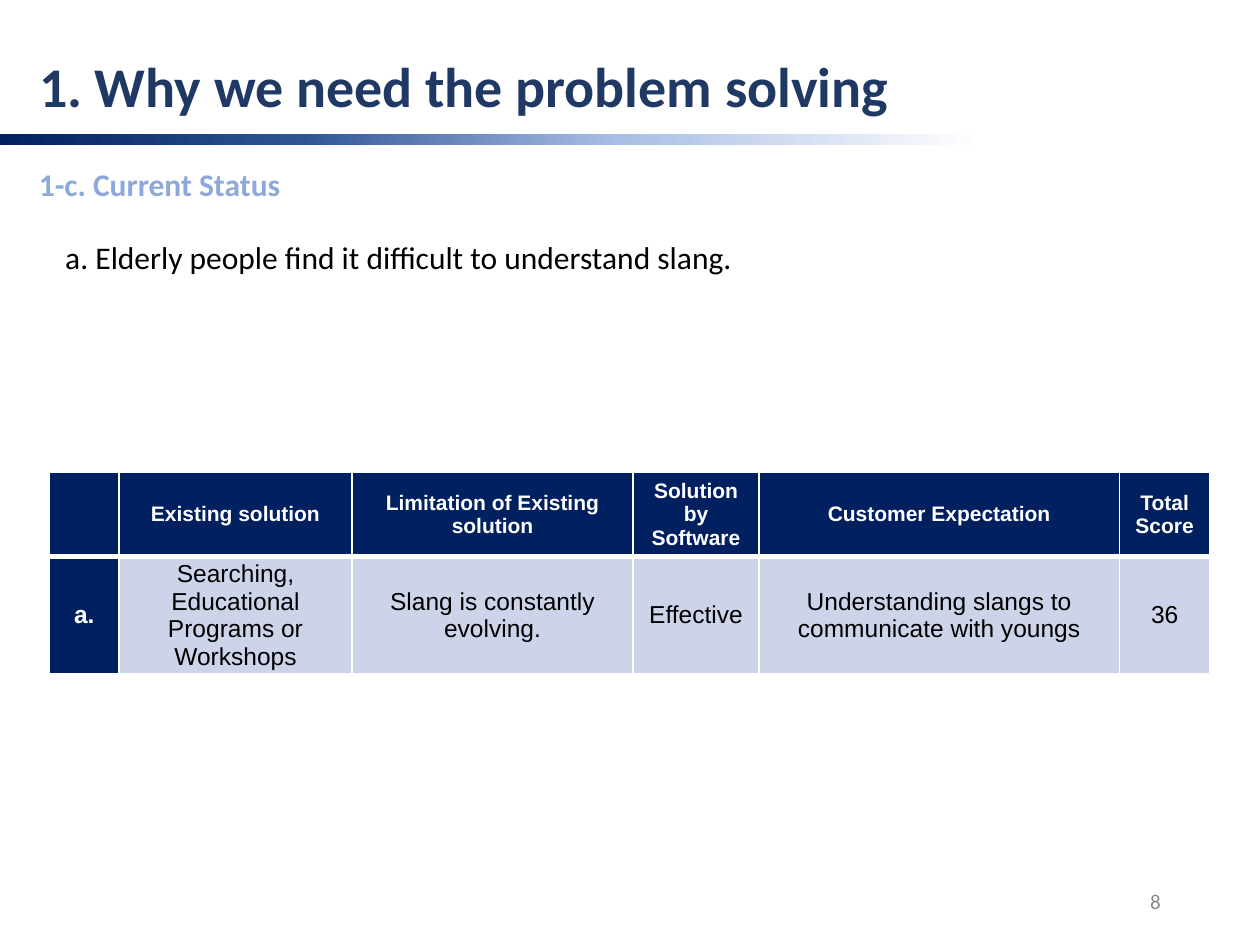
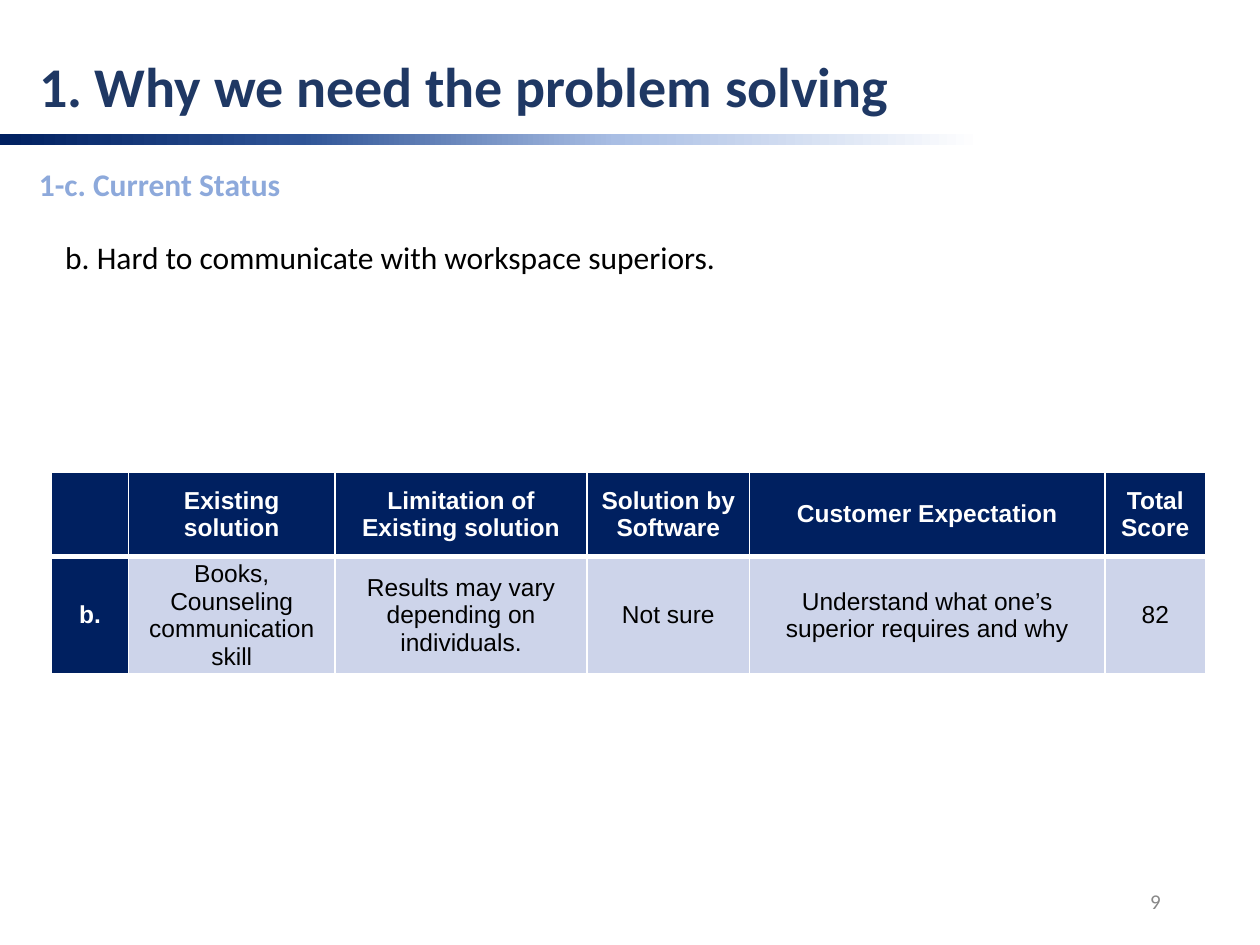
"""Builds the two current-status slides, each with a table of existing solutions."""
from lxml import etree
from pptx import Presentation
from pptx.dml import color
from pptx.enum import shapes, text
from pptx.oxml import ns
from pptx.util import Pt

NAVY, WHITE, PALE, BLACK = "002060", "FFFFFF", "CDD4EA", "000000"
BAND_STOPS = [(0, WHITE), (22, WHITE), (51, "A9BEE4"), (76, "2F5496"), (100, NAVY)]
HEADINGS = ["", "Existing solution", "Limitation of Existing solution",
            "Solution by Software", "Customer Expectation", "Total Score"]
ROW_HEIGHTS = [48, 67]
ALIGN, ANCHOR = text.PP_ALIGN, text.MSO_ANCHOR


def rgb(value):
    return color.RGBColor.from_string(value)


def add_xml(parent, tag, **attributes):
    return etree.SubElement(parent, ns.qn(tag), attributes)


def write(frame, words, size=18, ink=BLACK, bold=False, font="Calibri", align=ALIGN.LEFT):
    for index, line in enumerate(words.split("\n")):
        para = frame.add_paragraph() if index else frame.paragraphs[0]
        para.alignment = align
        span = para.add_run()
        span.text = line
        span.font.name, span.font.size, span.font.bold = font, Pt(size), bold
        span.font.color.rgb = rgb(ink)


class StatusDeck:
    def __init__(self):
        self.deck = Presentation()
        self.deck.slide_width, self.deck.slide_height = Pt(720), Pt(540)
        self.page = None

    def add_page(self, title, subtitle, number):
        self.page = self.deck.slides.add_slide(self.deck.slide_layouts[5])
        self.add_band()
        self.add_title(title)
        self.add_text(subtitle, 15.1, 90.7, 440.6, 28.8, ink="8DA9DB", bold=True)
        self.add_text(str(number), 508.3, 500.4, 162, 28.8, anchor=ANCHOR.MIDDLE,
                      size=12, ink="888888", align=ALIGN.RIGHT)

    def add_title(self, words):
        title = self.page.shapes.title
        title.left, title.top, title.width, title.height = map(Pt, (15.1, 25.9, 557.3, 46))
        title.text_frame.vertical_anchor = ANCHOR.TOP
        title.text_frame.auto_size = text.MSO_AUTO_SIZE.NONE
        write(title.text_frame, words, size=32, ink="1F3864", bold=True)

    def add_band(self):
        band = self.page.shapes.add_shape(
            shapes.MSO_SHAPE.RECTANGLE, Pt(-0.7), Pt(76.3), Pt(720), Pt(6.5))
        band.shadow.inherit = False
        band.line.fill.background()
        band.fill.gradient()
        band.fill.gradient_angle = 180
        stops = band.element.spPr.find(".//" + ns.qn("a:gsLst"))
        stops.clear()
        for position, tone in BAND_STOPS:
            stop = add_xml(stops, "a:gs", pos=str(position * 1000))
            add_xml(stop, "a:srgbClr", val=tone)

    def add_text(self, words, left, top, width, height, anchor=ANCHOR.TOP, **style):
        box = self.page.shapes.add_textbox(Pt(left), Pt(top), Pt(width), Pt(height))
        box.text_frame.word_wrap = True
        box.text_frame.vertical_anchor = anchor
        write(box.text_frame, words, **style)

    def add_table(self, rows, left, widths, heading_size):
        table = self.page.shapes.add_table(
            len(rows), len(widths), Pt(left), Pt(270), Pt(sum(widths)), Pt(sum(ROW_HEIGHTS))).table
        table.first_row = table.horz_banding = False
        for column, width in zip(table.columns, widths):
            column.width = Pt(width)
        for r, (row, height) in enumerate(zip(rows, ROW_HEIGHTS)):
            table.rows[r].height = Pt(height)
            for c, words in enumerate(row):
                self.fill_cell(table.cell(r, c), words, is_top=r == 0, is_label=c == 0,
                               size=14 if r else heading_size)

    def fill_cell(self, cell, words, is_top, is_label, size):
        dark = is_top or is_label
        cell.margin_left = cell.margin_right = Pt(5)
        cell.margin_top = cell.margin_bottom = 0
        cell.vertical_anchor = ANCHOR.MIDDLE
        borders = {"L": 1, "R": 1, "T": 1 if is_top else 3, "B": 3 if is_top else 1}
        for side, width in borders.items():
            line = add_xml(cell._tc.get_or_add_tcPr(), f"a:ln{side}", w=str(Pt(width)))
            add_xml(add_xml(line, "a:solidFill"), "a:srgbClr", val=WHITE)
        cell.fill.solid()
        cell.fill.fore_color.rgb = rgb(NAVY if dark else PALE)
        if words:
            write(cell.text_frame, words, size=size, ink=WHITE if dark else BLACK,
                  bold=dark, font="Arial", align=ALIGN.CENTER)


STATUSES = [
    dict(number=8, problem="a. Elderly people find it difficult to understand slang.",
         row=["a.", "Searching, Educational\nPrograms or Workshops",
              "Slang is constantly evolving.", "Effective",
              "Understanding slangs to\ncommunicate with youngs", "36"],
         left=28.4, widths=[39.6, 133.2, 160.6, 72, 205.9, 51.8], heading_size=12),
    dict(number=9, problem="b. Hard to communicate with workspace superiors.",
         row=["b.", "Books, Counseling\ncommunication skill",
              "Results may vary depending on\nindividuals.", "Not sure",
              "Understand what one’s superior requires and why", "82"],
         left=29.5, widths=[43.9, 118.1, 144, 92.9, 203, 57.6], heading_size=14),
]


def main():
    status_deck = StatusDeck()
    for status in STATUSES:
        status_deck.add_page("1. Why we need the problem solving", "1-c. Current Status",
                             status["number"])
        status_deck.add_table([HEADINGS, status["row"]], status["left"], status["widths"],
                              status["heading_size"])
        status_deck.add_text(status["problem"], 30.2, 132.5, 582.5, 28.8)
    status_deck.deck.save("out.pptx")


if __name__ == "__main__":
    main()
